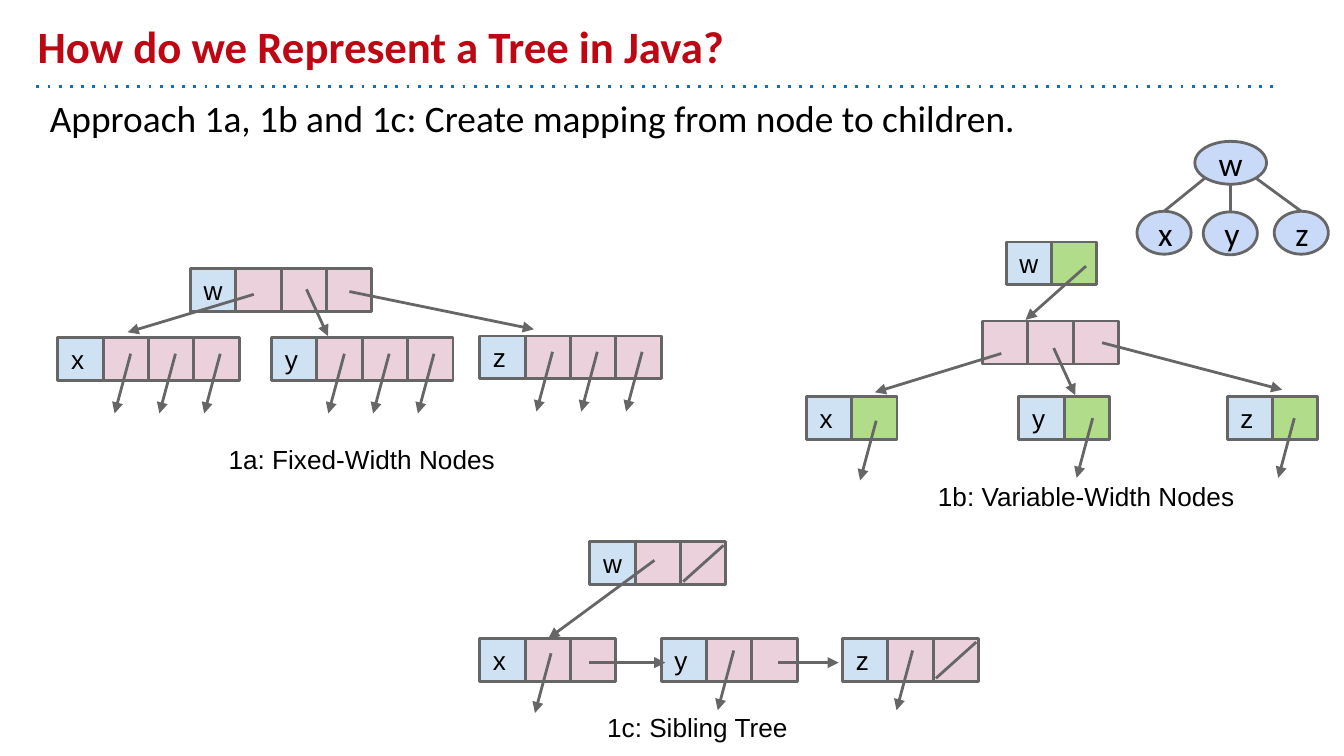
from dataclasses import dataclass

import lxml.etree
import pptx
import pptx.dml.color
import pptx.enum.shapes
import pptx.enum.text
import pptx.oxml.ns
import pptx.util

Pt = pptx.util.Pt
qn = pptx.oxml.ns.qn
Align = pptx.enum.text.PP_ALIGN
Anchor = pptx.enum.text.MSO_ANCHOR
Shape = pptx.enum.shapes.MSO_SHAPE
Point = tuple[float, float]


@dataclass(frozen=True)
class Theme:
    title: str = "BE0712"
    text: str = "000000"
    rule: str = "1072BD"
    line: str = "666666"
    label: str = "CFE2F3"
    pointer: str = "EAD1DC"
    link: str = "B1DD8B"
    tree: str = "C9DAF8"
    heading_font: str = "Calibri"
    label_font: str = "Arial"
    title_size: float = 24
    body_size: float = 20
    tree_size: float = 18
    label_size: float = 14
    weight: float = 1.5


@dataclass(frozen=True)
class Node:
    """A row of cells: an optional label cell, then pointer cells."""
    label: str
    x: float
    y: float
    cells: int
    fill: str
    null_end: bool = False


@dataclass(frozen=True)
class Diagram:
    caption: str
    caption_at: Point
    nodes: list[Node]
    arrows: list[tuple[Point, Point]]
    drops: list[Point]


@dataclass(frozen=True)
class TreeNode:
    label: str
    x: float
    y: float
    w: float
    align: Align


T = Theme()
CELL_W, CELL_H = 24.3, 23
DROP_X, DROP_Y = -8.6, 32

FIXED_CHILDREN = [Node("x", 31, 181, 3, T.pointer),
                  Node("y", 145.5, 181, 3, T.pointer),
                  Node("z", 257, 180, 3, T.pointer)]

DIAGRAMS = [
    Diagram("1a: Fixed-Width Nodes", (115.4, 230.4),
            [Node("w", 102, 144, 3, T.pointer), *FIXED_CHILDREN],
            [((136, 157.7), (68.4, 178)), ((164.2, 155), (175.7, 180)),
             ((187.2, 156.2), (286, 176.4))],
            [(n.x + 39 + 24 * i, n.y + 8.5)
             for n in FIXED_CHILDREN for i in range(n.cells)]),
    Diagram("1b: Variable-Width Nodes", (495.4, 250),
            [Node("w", 539, 129.6, 1, T.link),
             Node("", 526.3, 172, 3, T.pointer),
             Node("x", 432, 212.5, 1, T.link),
             Node("y", 545.8, 212.5, 1, T.link),
             Node("z", 657.4, 212.3, 1, T.link)],
            [((581.8, 142.6), (549.4, 171.4)), ((536.4, 189.4), (468.7, 210.2)),
             ((564.5, 186.5), (576, 211.7)), ((590.4, 183.6), (686.9, 208.8))],
            [(469.4, 225.4), (585.4, 224), (693.4, 224)]),
    Diagram("1c: Sibling Tree", (318.2, 373.7),
            [Node("w", 316, 290.2, 2, T.pointer, null_end=True),
             *[Node(name, 257 + 4 * CELL_W * i, 342, 2, T.pointer, name == "z")
               for i, name in enumerate("xyz")]],
            [((350.6, 300.2), (293.8, 342)), ((315.4, 355), (356.4, 355)),
             ((416.9, 355), (449.3, 355))],
            [(295.2, 350), (393.1, 348.5), (488.9, 348.5)]),
]

TREE_NODES = [TreeNode("w", 640.1, 75.7, 38.4, Align.LEFT),
              TreeNode("x", 609.1, 113.2, 29, Align.CENTER),
              TreeNode("y", 644.6, 113.5, 29, Align.CENTER),
              TreeNode("z", 682.6, 113.2, 29, Align.CENTER)]
TREE_EDGES = [((645.8, 95.2), (623.6, 113.2)),
              ((659.3, 98.6), (659.3, 113.6)),
              ((672.5, 95.2), (697.1, 113.2))]


def rgb(color: str) -> pptx.dml.color.RGBColor:
    return pptx.dml.color.RGBColor.from_string(color)


def write(sp, text: str, *, size: float, font: str, color: str = T.text,
          bold: bool = False, align: Align = Align.LEFT,
          anchor: Anchor = Anchor.TOP, before: float = 0) -> None:
    tf = sp.text_frame
    tf.word_wrap = True
    tf.auto_size = pptx.enum.text.MSO_AUTO_SIZE.NONE
    tf.vertical_anchor = anchor
    tf.margin_left = tf.margin_right = Pt(7.2)
    tf.margin_top = tf.margin_bottom = Pt(7.2)
    p = tf.paragraphs[0]
    p.alignment = align
    p.space_before = Pt(before)
    r = p.add_run()
    r.text = text
    r.font.size, r.font.name, r.font.bold = Pt(size), font, bold
    r.font.color.rgb = rgb(color)


def place(sp, x: float, y: float, w: float, h: float) -> None:
    sp.left, sp.top, sp.width, sp.height = Pt(x), Pt(y), Pt(w), Pt(h)


def draw_box(shapes, kind: Shape, x: float, y: float, w: float, fill: str):
    sp = shapes.add_shape(kind, Pt(x), Pt(y), Pt(w), Pt(CELL_H))
    sp.shadow.inherit = False
    sp.fill.solid()
    sp.fill.fore_color.rgb = rgb(fill)
    sp.line.color.rgb = rgb(T.line)
    sp.line.width = Pt(T.weight)
    return sp


def draw_line(shapes, start: Point, end: Point, *, color: str = T.line,
              dash: str = "", arrow: bool = False) -> None:
    c = shapes.add_connector(pptx.enum.shapes.MSO_CONNECTOR.STRAIGHT,
                             *map(Pt, start), *map(Pt, end))
    c.line.color.rgb = rgb(color)
    c.line.width = Pt(T.weight)
    sp_pr = c._element.spPr
    ln = sp_pr.find(qn("a:ln"))
    if dash:
        lxml.etree.SubElement(ln, qn("a:prstDash"), val=dash)
    if arrow:
        lxml.etree.SubElement(ln, qn("a:tailEnd"), type="triangle")
    lxml.etree.SubElement(sp_pr, qn("a:effectLst"))


def draw_node(shapes, node: Node) -> None:
    fills = [T.label] * bool(node.label) + [node.fill] * node.cells
    for i, fill in enumerate(fills):
        sp = draw_box(shapes, Shape.RECTANGLE, node.x + i * CELL_W, node.y, CELL_W, fill)
        if node.label and i == 0:
            write(sp, node.label, size=T.label_size, font=T.label_font,
                  anchor=Anchor.MIDDLE)
    if node.null_end:
        x = node.x + (len(fills) - 1) * CELL_W
        draw_line(shapes, (x + 1.4, node.y + 21.4), (x + 23, node.y + 2))


def draw_diagram(s, diagram: Diagram) -> None:
    shapes = s.shapes.add_group_shape().shapes
    for node in diagram.nodes:
        draw_node(shapes, node)
    drops = [((x, y), (x + DROP_X, y + DROP_Y)) for x, y in diagram.drops]
    for start, end in diagram.arrows + drops:
        draw_line(shapes, start, end, arrow=True)
    x, y = diagram.caption_at
    sp = s.shapes.add_textbox(Pt(x), Pt(y), Pt(177), Pt(31))
    write(sp, diagram.caption, size=T.label_size, font=T.label_font)


def main() -> None:
    prs = pptx.Presentation()
    prs.slide_width, prs.slide_height = Pt(720), Pt(405)
    s = prs.slides.add_slide(prs.slide_layouts[1])

    # Title, rule and body line
    draw_line(s.shapes, (19.5, 46.2), (684, 46.2), color=T.rule, dash="dot")
    title, body = s.placeholders
    place(title, 13, 7.2, 648, 38.9)
    write(title, "How do we Represent a Tree in Java?", size=T.title_size,
          font=T.heading_font, color=T.title, bold=True, anchor=Anchor.BOTTOM)
    place(body, 19.5, 44, 664.5, 114.5)
    write(body, "Approach 1a, 1b and 1c: Create mapping from node to children.",
          size=T.body_size, font=T.heading_font, before=6)
    p_pr = body.text_frame.paragraphs[0]._p.get_or_add_pPr()
    p_pr.set("marL", "0")
    p_pr.set("indent", "0")
    lxml.etree.SubElement(p_pr, qn("a:buNone"))

    # Node layouts with their captions
    for diagram in DIAGRAMS:
        draw_diagram(s, diagram)

    # Abstract tree
    for start, end in TREE_EDGES:
        draw_line(s.shapes, start, end)
    for node in TREE_NODES:
        sp = draw_box(s.shapes, Shape.OVAL, node.x, node.y, node.w, T.tree)
        write(sp, node.label, size=T.tree_size, font=T.heading_font,
              align=node.align, anchor=Anchor.MIDDLE)

    prs.save("out.pptx")


if __name__ == "__main__":
    main()
